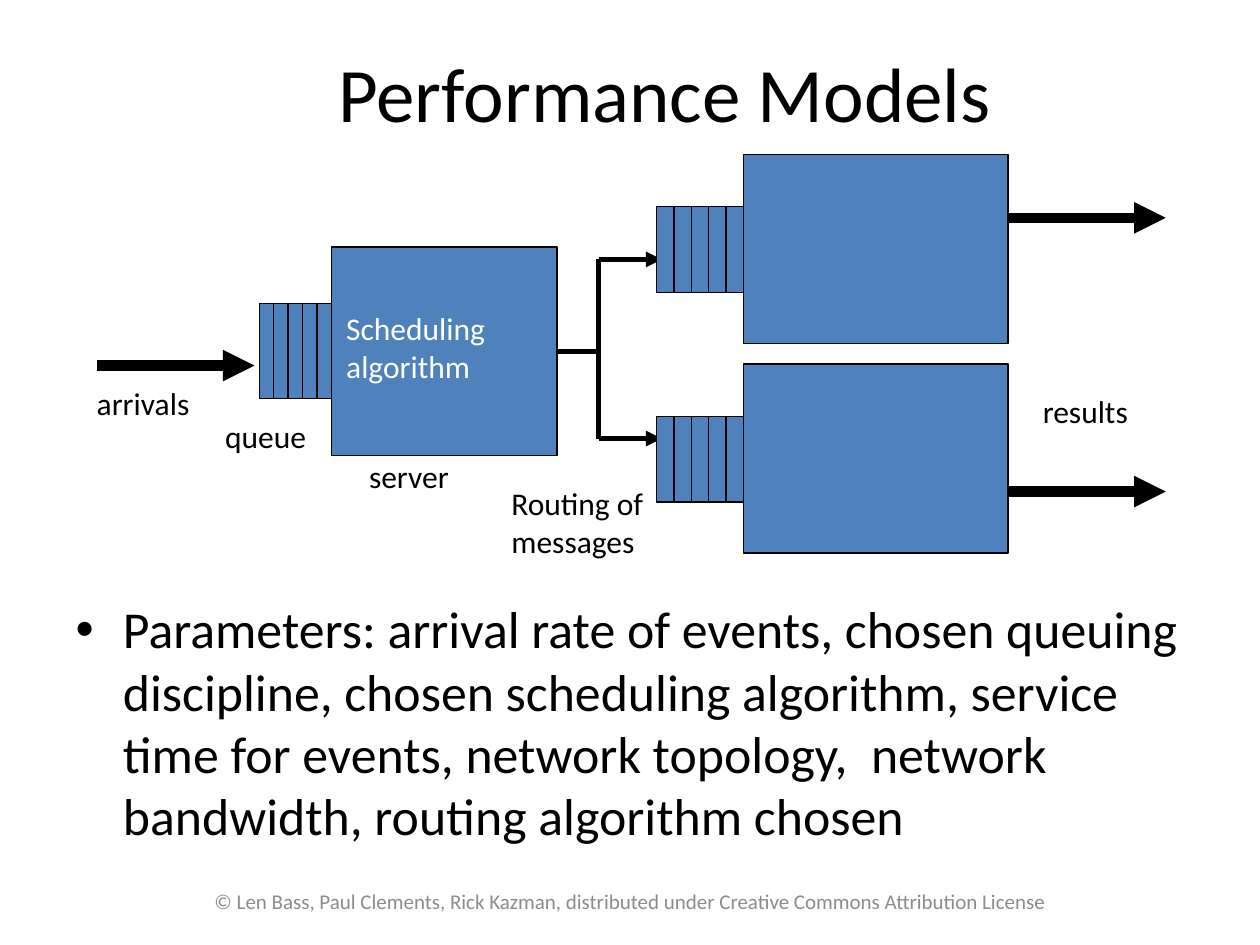
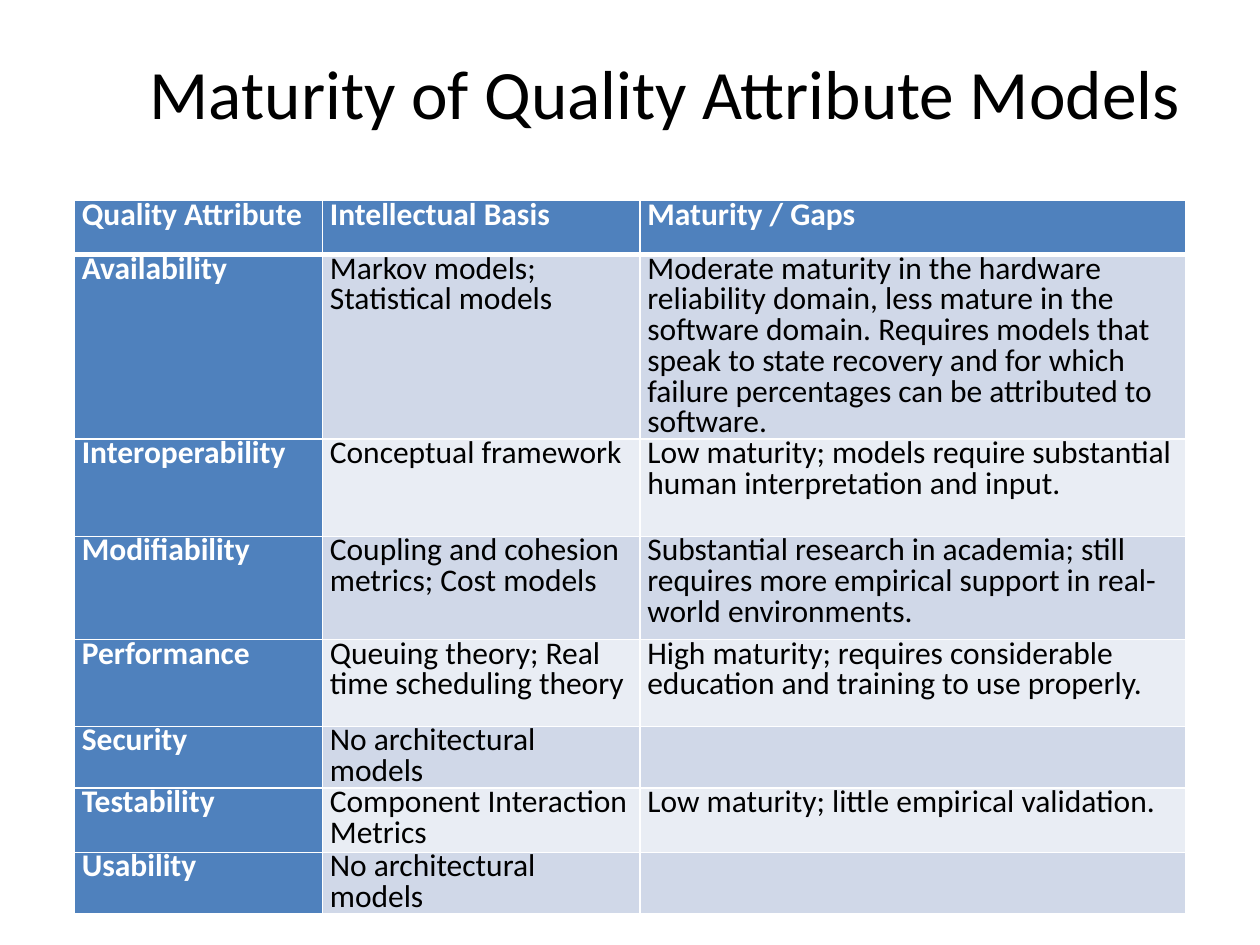
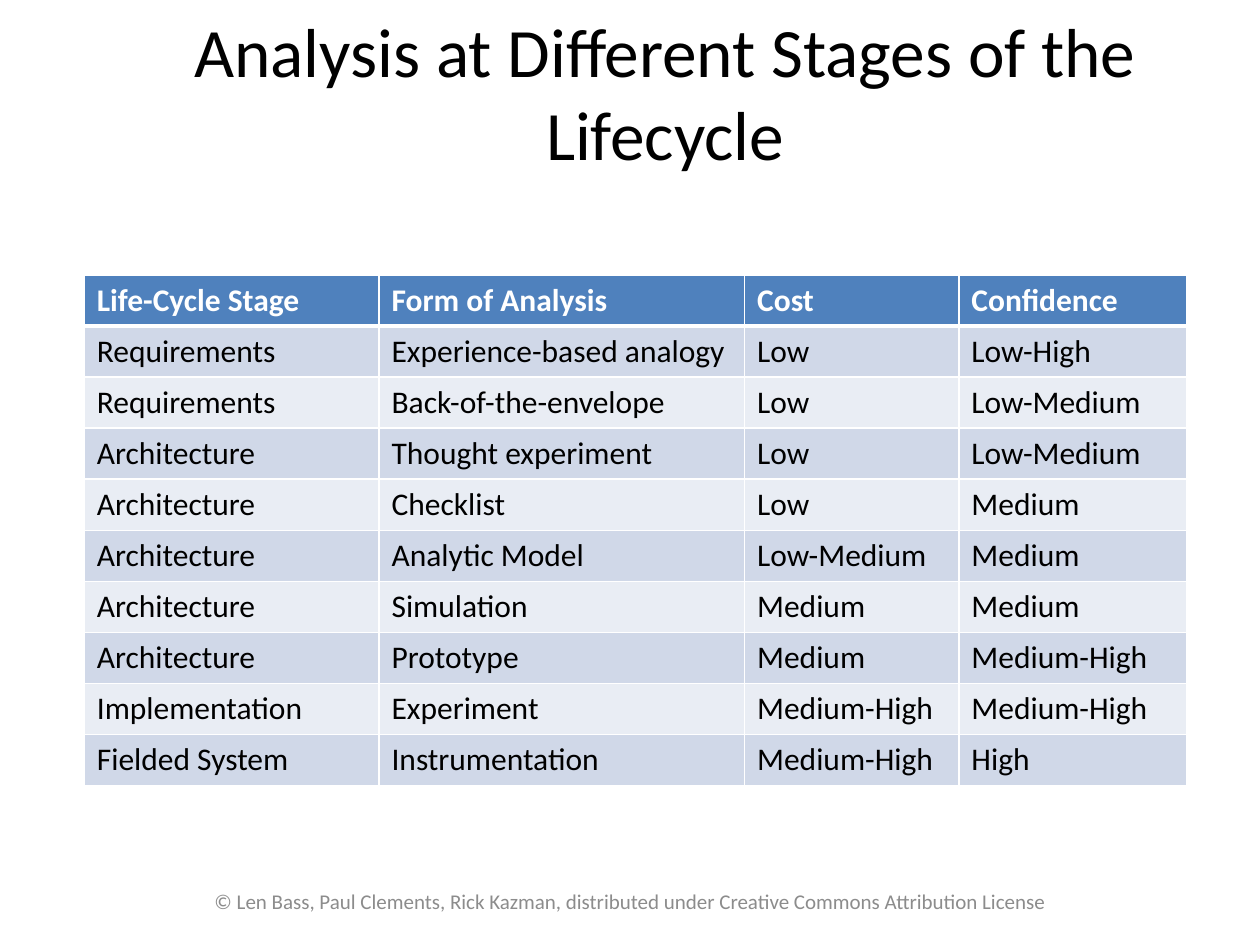
import pptx
import pptx.dml.color
import pptx.enum.shapes
import pptx.enum.text
import pptx.oxml
import pptx.oxml.ns
import pptx.util
from pptx.util import Cm

BLUE, BLACK, WHITE, GREY = "4F81BD", "000000", "FFFFFF", "8C8C8C"
BANDS = ("D0D8E8", "E9EDF4")
FONT = "Calibri"
TITLE_ONLY, TITLE_AND_CONTENT = 5, 1
FOOTER = ("© Len Bass, Paul Clements, Rick Kazman, distributed under "
          "Creative Commons Attribution License")
ALIGN = pptx.enum.text.PP_ALIGN
MIDDLE = pptx.enum.text.MSO_ANCHOR.MIDDLE
RIGHT_SIDE = 3


def color(hex_string):
    return pptx.dml.color.RGBColor.from_string(hex_string)


def lengths(*centimetres):
    return [Cm(value) for value in centimetres]


class Deck:
    """Holds the shared style and the slide being built."""

    def __init__(self):
        self.presentation = pptx.Presentation()
        self.presentation.slide_width = Cm(25.4)
        self.presentation.slide_height = Cm(19.05)
        self.slide = None

    def new_slide(self, title, title_size=39.6, layout=TITLE_ONLY, footer=True):
        layouts = self.presentation.slide_layouts
        self.slide = self.presentation.slides.add_slide(layouts[layout])
        self.fill_placeholder(self.slide.shapes.title, (2.69, 0.76, 21.44, 2.16),
                              title, title_size)
        if footer:
            frame = self.label(FOOTER, 3.91, 17.65, 17.6, 1.02, size=12,
                               hex_color=GREY, align=ALIGN.CENTER, wrap=True)
            frame.auto_size = pptx.enum.text.MSO_AUTO_SIZE.NONE
            frame.vertical_anchor = MIDDLE

    def format_paragraph(self, paragraph, size, hex_color=BLACK, bold=False):
        font = paragraph.font
        font.name, font.size, font.bold = FONT, pptx.util.Pt(size), bold
        font.color.rgb = color(hex_color)

    def fill_placeholder(self, placeholder, box, text, size):
        (placeholder.left, placeholder.top,
         placeholder.width, placeholder.height) = lengths(*box)
        frame = placeholder.text_frame
        frame.text = text
        frame.auto_size = pptx.enum.text.MSO_AUTO_SIZE.NONE
        self.format_paragraph(frame.paragraphs[0], size)

    def body(self, text, size, *box):
        self.fill_placeholder(self.slide.placeholders[1], box, text, size)

    def label(self, text, *box, size=18, hex_color=BLACK, align=ALIGN.LEFT,
              wrap=False):
        frame = self.slide.shapes.add_textbox(*lengths(*box)).text_frame
        frame.word_wrap = wrap
        frame.auto_size = pptx.enum.text.MSO_AUTO_SIZE.SHAPE_TO_FIT_TEXT
        frame.text = text
        frame.paragraphs[0].alignment = align
        self.format_paragraph(frame.paragraphs[0], size, hex_color)
        return frame

    def rectangle(self, *box):
        shape = self.slide.shapes.add_shape(
            pptx.enum.shapes.MSO_SHAPE.RECTANGLE, *lengths(*box))
        shape.shadow.inherit = False
        shape.fill.solid()
        shape.fill.fore_color.rgb = color(BLUE)
        shape.line.color.rgb = color(BLACK)
        shape.line.width = pptx.util.Pt(0.75)
        return shape

    def queue(self, right, top, slot_width, height, slots=5):
        """Draw a row of slots that ends at the given right edge."""
        for index in range(slots):
            self.rectangle(right - (slots - index) * slot_width, top,
                           slot_width, height)

    def line(self, start, end, width=3, arrow=False):
        connector = self.slide.shapes.add_connector(
            pptx.enum.shapes.MSO_CONNECTOR.STRAIGHT, *lengths(*start, *end))
        connector.line.color.rgb = color(BLACK)
        connector.line.width = pptx.util.Pt(width)
        if arrow:
            head = pptx.oxml.parse_xml(
                f'<a:tailEnd {pptx.oxml.ns.nsdecls("a")} type="triangle"/>')
            connector.line._get_or_add_ln().append(head)
        properties = connector._element.spPr
        properties.append(pptx.oxml.parse_xml(
            f'<a:effectLst {pptx.oxml.ns.nsdecls("a")}/>'))
        return connector

    def table(self, left, top, column_widths, row_heights, rows,
              header_column=False, compact=False):
        table = self.slide.shapes.add_table(
            len(rows), len(column_widths),
            *lengths(left, top, sum(column_widths), sum(row_heights))).table
        table.first_col = header_column
        for column, width in zip(table.columns, column_widths):
            column.width = Cm(width)
        for row, height in zip(table.rows, row_heights):
            row.height = Cm(height)
        for row_index, row in enumerate(rows):
            for column_index, text in enumerate(row):
                cell = table.cell(row_index, column_index)
                header = row_index == 0 or (header_column and column_index == 0)
                self.cell_borders(cell, row_index)
                cell.fill.solid()
                cell.fill.fore_color.rgb = color(
                    BLUE if header else BANDS[(row_index - 1) % 2])
                cell.text = text
                paragraph = cell.text_frame.paragraphs[0]
                self.format_paragraph(paragraph, 18,
                                      WHITE if header else BLACK, header)
                if compact:
                    cell.margin_left = cell.margin_right = Cm(0.15)
                    cell.margin_top = cell.margin_bottom = 0
                    paragraph.line_spacing = 0.8
                    paragraph.space_before = pptx.util.Pt(4)
                    paragraph.space_after = pptx.util.Pt(4)

    def cell_borders(self, cell, row_index):
        """White rules, thicker between the header row and the first row."""
        thick_side = {0: "B", 1: "T"}.get(row_index)
        for side in "LRTB":
            width = pptx.util.Pt(3 if side == thick_side else 1)
            cell._tc.get_or_add_tcPr().append(pptx.oxml.parse_xml(
                f'<a:ln{side} {pptx.oxml.ns.nsdecls("a")} w="{width}">'
                f'<a:solidFill><a:srgbClr val="{WHITE}"/></a:solidFill>'
                f'</a:ln{side}>'))


def performance_models(deck):
    deck.new_slide("Performance Models", 44, TITLE_AND_CONTENT)
    deck.body("Parameters: arrival rate of events, chosen queuing discipline, "
              "chosen scheduling algorithm, service time for events, network "
              "topology,  network bandwidth, routing algorithm chosen",
              29.6, 1.27, 11.91, 22.86, 5.08)

    deck.label("arrivals", 1.7, 7.62, 2.57, 1.02)
    deck.line((1.96, 7.37), (5.13, 7.37), 6, arrow=True)
    deck.queue(6.68, 6.12, 0.29, 1.91)
    deck.label("queue", 4.29, 8.28, 2.29, 1.02)
    scheduler = deck.rectangle(6.68, 4.98, 4.55, 4.2)
    deck.label("server", 7.19, 9.09, 2.29, 1.02)
    deck.label("results", 20.6, 7.77, 2.39, 1.02, align=ALIGN.RIGHT)
    deck.label("Scheduling algorithm", 6.73, 6.1, 4.06, 1.78,
               hex_color=WHITE, wrap=True)

    branch_x, branch_ends = 12.07, (5.23, 8.84)
    trunk = deck.line((11.23, 7.08), (branch_x, 7.08))
    trunk.begin_connect(scheduler, RIGHT_SIDE)
    deck.line(*((branch_x, y) for y in branch_ends))
    for y in branch_ends:
        deck.line((branch_x, y), (13.34, y), arrow=True)

    for server_top, result_y in ((3.12, 4.39), (7.34, 9.91)):
        deck.queue(14.99, server_top + 1.05, 0.35, 1.73)
        deck.rectangle(14.99, server_top, 5.33, 3.81)
        deck.line((20.32, result_y), (23.5, result_y), 6, arrow=True)
    deck.label("Routing of messages", 10.06, 9.63, 3.81, 1.78, wrap=True)


def maturity(deck):
    deck.new_slide("Maturity of Quality Attribute Models", footer=False)
    rows = [
        ("Quality Attribute", "Intellectual Basis", "Maturity / Gaps"),
        ("Availability", "Markov models; Statistical models",
         "Moderate maturity in the hardware reliability domain, less mature in "
         "the software domain. Requires models that speak to state recovery "
         "and for which failure percentages can be attributed to software."),
        ("Interoperability", "Conceptual framework",
         "Low maturity; models require substantial human interpretation and "
         "input."),
        ("Modifiability", "Coupling and cohesion metrics; Cost models",
         "Substantial research in academia; still requires more empirical "
         "support in real-world environments."),
        ("Performance", "Queuing theory; Real time scheduling theory",
         "High maturity; requires considerable education and training to use "
         "properly."),
        ("Security", "No architectural models", ""),
        ("Testability", "Component Interaction Metrics",
         "Low maturity; little empirical validation."),
        ("Usability", "No architectural models", ""),
    ]
    deck.table(1.5, 4.04, (5, 6.4, 11),
               (1.09, 3.68, 1.96, 2.08, 1.75, 1.22, 1.3, 1.12),
               rows, header_column=True, compact=True)


def lifecycle(deck):
    deck.new_slide("Analysis at Different Stages of the Lifecycle")
    rows = [
        ("Life-Cycle Stage", "Form of Analysis", "Cost", "Confidence"),
        ("Requirements", "Experience-based analogy", "Low", "Low-High"),
        ("Requirements", "Back-of-the-envelope", "Low", "Low-Medium"),
        ("Architecture", "Thought experiment", "Low", "Low-Medium"),
        ("Architecture", "Checklist", "Low", "Medium"),
        ("Architecture", "Analytic Model", "Low-Medium", "Medium"),
        ("Architecture", "Simulation", "Medium", "Medium"),
        ("Architecture", "Prototype", "Medium", "Medium-High"),
        ("Implementation", "Experiment", "Medium-High", "Medium-High"),
        ("Fielded System", "Instrumentation", "Medium-High", "High"),
    ]
    deck.table(1.7, 5.54, (5.94, 7.37, 4.32, 4.6), [1.03] * len(rows), rows)


def main():
    deck = Deck()
    performance_models(deck)
    maturity(deck)
    lifecycle(deck)
    deck.presentation.save("out.pptx")


if __name__ == "__main__":
    main()
